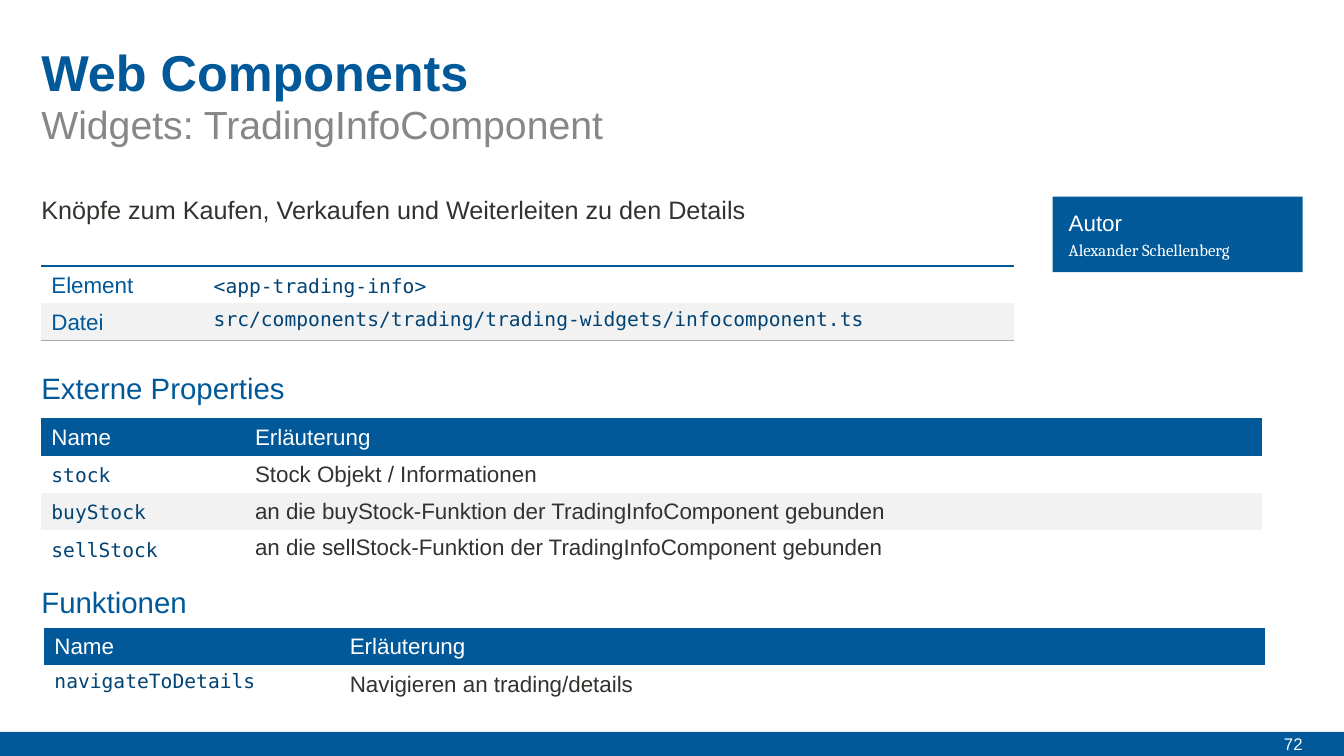
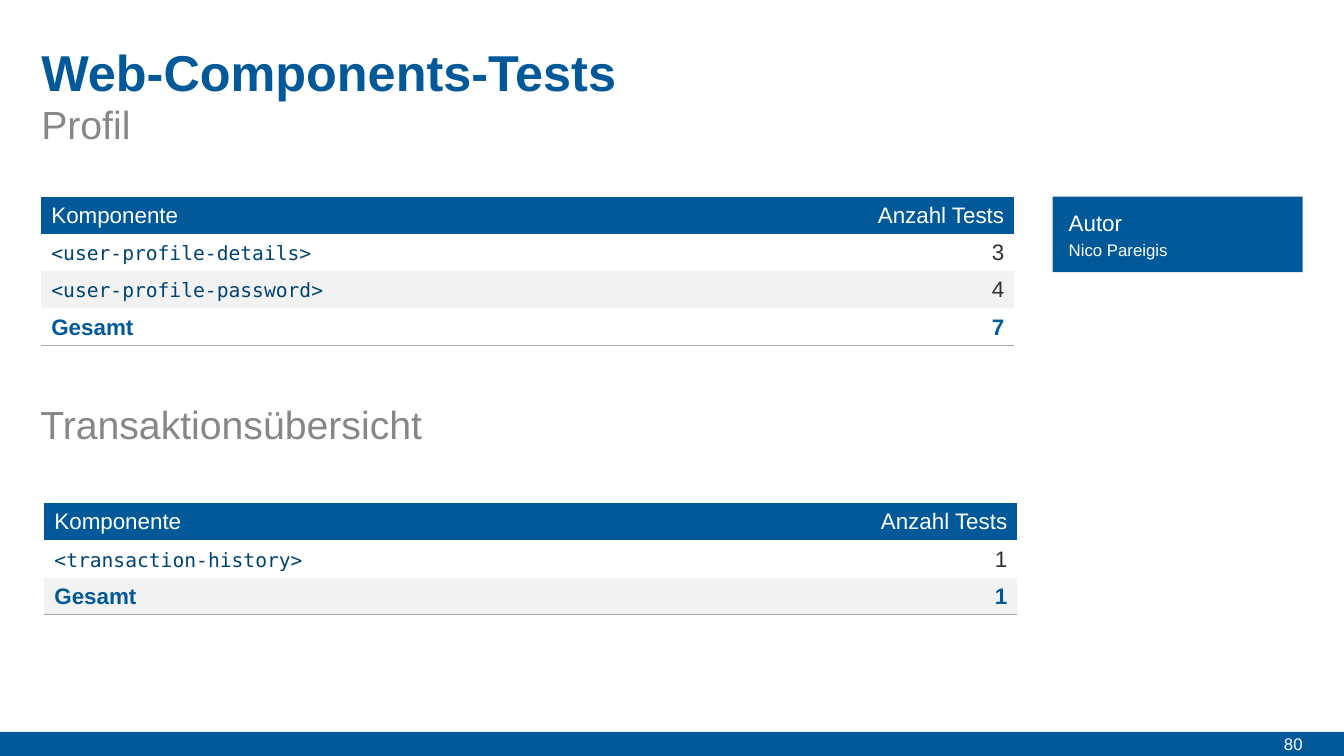
import lxml.etree
import pptx
import pptx.dml.color
import pptx.enum.shapes
import pptx.enum.text
import pptx.oxml.ns
import pptx.util

Inches, Pt = pptx.util.Inches, pptx.util.Pt
ALIGN = pptx.enum.text.PP_ALIGN

# Shared look
WIDTH, HEIGHT = 13.33, 7.5
LEFT, CONTENT = 0.41, 9.65
INDENTED = 0.44
RIGHT = WIDTH - LEFT
BAND = 0.24
ROW = 0.37
BLUE, WHITE, STRIPE, RULE = "015999", "FFFFFF", "F2F2F2", "A9A9A9"
NO_GRID = "{2D5ABB26-0587-4C30-8999-92F81FD0307C}"

# Style: font, size, colour, bold, line spacing (points, factor or None)
STYLES = {
    "title": ("Arial", 36, BLUE, True, None),
    "subtitle": ("Arial", 28, "878787", False, 1.1),
    "intro": ("Arial", 18, "33322F", False, Pt(22)),
    "section": ("Arial", 21, BLUE, False, Pt(25)),
    "number": ("Arial", 12, WHITE, False, None),
    "head": ("Arial", 16, WHITE, False, Pt(19)),
    "label": ("Arial", 16, BLUE, False, Pt(19)),
    "total": ("Arial", 16, BLUE, True, Pt(19)),
    "body": ("Arial", 16, "33322F", False, Pt(19)),
    "body single": ("Arial", 16, "33322F", False, None),
    "code": ("DejaVu Sans Mono", 14, "014373", False, Pt(19)),
    "code single": ("DejaVu Sans Mono", 14, "014373", False, None),
    "author": ("Arial", 12, WHITE, False, Pt(14)),
    "author serif": ("Cambria", 12, WHITE, False, Pt(14)),
}

# Content: texts are (text, style, left, top, height)
TEST_HEAD = [("Komponente", "head"), ("Anzahl Tests", "head")]
NAME_HEAD = [("Name", "head"), ("Erläuterung", "head")]
SLIDES = [
    {
        "title": "Web Components",
        "subtitle": "Widgets: TradingInfoComponent",
        "number": "72",
        "author": ("Alexander Schellenberg", "author serif"),
        "texts": [
            ("Knöpfe zum Kaufen, Verkaufen und Weiterleiten zu den Details",
             "intro", LEFT, 1.92, 0.29),
            ("Externe Properties", "section", LEFT, 3.67, 0.35),
            ("Funktionen", "section", LEFT, 5.8, 0.35),
        ],
        "tables": [
            {"at": (LEFT, 2.64), "columns": (1.61, 8.04),
             "top": (BLUE, 2), "bottom": (RULE, 0.5),
             "rows": [
                 [("Element", "label"), ("<app-trading-info>", "code")],
                 [("Datei", "label"),
                  ("src/components/trading/trading-widgets/infocomponent.ts",
                   "code single")],
             ]},
            {"at": (LEFT, 4.15), "columns": (2.02, 10.09), "head": NAME_HEAD,
             "rows": [
                 [("stock", "code"), ("Stock Objekt / Informationen", "body")],
                 [("buyStock", "code"),
                  ("an die buyStock-Funktion der TradingInfoComponent gebunden",
                   "body")],
                 [("sellStock", "code"),
                  ("an die sellStock-Funktion der TradingInfoComponent gebunden",
                   "body single")],
             ]},
            {"at": (INDENTED, 6.23), "columns": (2.93, 9.18), "head": NAME_HEAD,
             "rows": [
                 [("navigateToDetails", "code single"),
                  ("Navigieren an trading/details", "body")],
             ]},
        ],
    },
    {
        "title": "Web-Components-Tests",
        "subtitle": "Profil",
        "number": "80",
        "author": ("Nico Pareigis", "author"),
        "texts": [("Transaktionsübersicht", "subtitle", 0.4, 3.92, 0.55)],
        "tables": [
            {"at": (LEFT, 1.95), "columns": (CONTENT / 2,) * 2,
             "head": TEST_HEAD, "numeric": True, "bottom": (RULE, 0.5),
             "rows": [
                 [("<user-profile-details>", "code"), ("3", "body")],
                 [("<user-profile-password>", "code"), ("4", "body")],
                 [("Gesamt", "total"), ("7", "total")],
             ]},
            {"at": (INDENTED, 4.99), "columns": (CONTENT / 2,) * 2,
             "head": TEST_HEAD, "numeric": True, "bottom": (RULE, 0.5),
             "rows": [
                 [("<transaction-history>", "code"), ("1", "body")],
                 [("Gesamt", "total"), ("1", "total")],
             ]},
        ],
    },
]


def colour(value):
    return pptx.dml.color.RGBColor.from_string(value)


def write(frame, text, style, align=ALIGN.LEFT):
    font, size, shade, bold, spacing = STYLES[style]
    frame.text = text
    para = frame.paragraphs[0]
    para.alignment = align
    if spacing:
        para.line_spacing = spacing
    span = para.runs[0]
    span.font.name, span.font.size, span.font.bold = font, Pt(size), bold
    span.font.color.rgb = colour(shade)


def add_text(page, text, style, left, top, height, width=CONTENT, align=ALIGN.LEFT):
    box = page.shapes.add_textbox(Inches(left), Inches(top), Inches(width), Inches(height))
    frame = box.text_frame
    frame.word_wrap = True
    frame.margin_left = frame.margin_right = frame.margin_top = frame.margin_bottom = 0
    write(frame, text, style, align)
    return box


def add_panel(page, left, top, width, height):
    panel = page.shapes.add_shape(
        pptx.enum.shapes.MSO_SHAPE.RECTANGLE,
        Inches(left), Inches(top), Inches(width), Inches(height))
    panel.shadow.inherit = False
    panel.fill.solid()
    panel.fill.fore_color.rgb = colour(BLUE)
    panel.line.fill.background()


def add_border(cell, side, shade, width):
    qn = pptx.oxml.ns.qn
    line = lxml.etree.Element(qn("a:" + side), w=str(Pt(width)))
    fill = lxml.etree.SubElement(line, qn("a:solidFill"))
    lxml.etree.SubElement(fill, qn("a:srgbClr"), val=shade)
    cell._tc.get_or_add_tcPr().insert(0, line)


def add_table(page, data):
    head = [data["head"]] if "head" in data else []
    rows = head + data["rows"]
    columns = data["columns"]
    left, top = data["at"]
    table = page.shapes.add_table(
        len(rows), len(columns), Inches(left), Inches(top),
        Inches(sum(columns)), Inches(ROW * len(rows))).table
    table.first_row = bool(head)
    table.horz_banding = False
    table._tbl.tblPr.find(pptx.oxml.ns.qn("a:tableStyleId")).text = NO_GRID
    for column, width in zip(table.columns, columns):
        column.width = Inches(width)
    for index, row in enumerate(rows):
        table.rows[index].height = Inches(ROW)
        body_index = index - len(head)
        shade = BLUE if body_index < 0 else (WHITE, STRIPE)[body_index % 2]
        for position, (text, style) in enumerate(row):
            cell = table.cell(index, position)
            cell.fill.solid()
            cell.fill.fore_color.rgb = colour(shade)
            numeric = data.get("numeric") and position > 0
            write(cell.text_frame, text, style, ALIGN.RIGHT if numeric else ALIGN.LEFT)
            if index == 0 and "top" in data:
                add_border(cell, "lnT", *data["top"])
            if index == len(rows) - 1 and "bottom" in data:
                add_border(cell, "lnB", *data["bottom"])


def add_frame(page, data):
    # Footer band and page number
    add_panel(page, 0, HEIGHT - BAND, WIDTH, BAND)
    number = add_text(page, data["number"], "number", RIGHT - 0.74, HEIGHT - BAND,
                      BAND, 0.74, ALIGN.RIGHT)
    number.text_frame.vertical_anchor = pptx.enum.text.MSO_ANCHOR.MIDDLE
    # Titles
    add_text(page, data["title"], "title", LEFT, 0.41, 0.62)
    add_text(page, data["subtitle"], "subtitle", LEFT, 0.95, 0.55)
    # Author card
    card = RIGHT - 2.48
    add_panel(page, card, 1.95, 2.48, 0.75)
    add_text(page, "Autor", "head", card + 0.16, 2.08, 0.27, 2.17)
    add_text(page, *data["author"], card + 0.16, 2.38, 0.2, 2.17)


def main():
    deck = pptx.Presentation()
    deck.slide_width, deck.slide_height = Inches(WIDTH), Inches(HEIGHT)
    for data in SLIDES:
        page = deck.slides.add_slide(deck.slide_layouts[6])
        add_frame(page, data)
        for text in data["texts"]:
            add_text(page, *text)
        for table in data["tables"]:
            add_table(page, table)
    deck.save("out.pptx")


if __name__ == "__main__":
    main()
